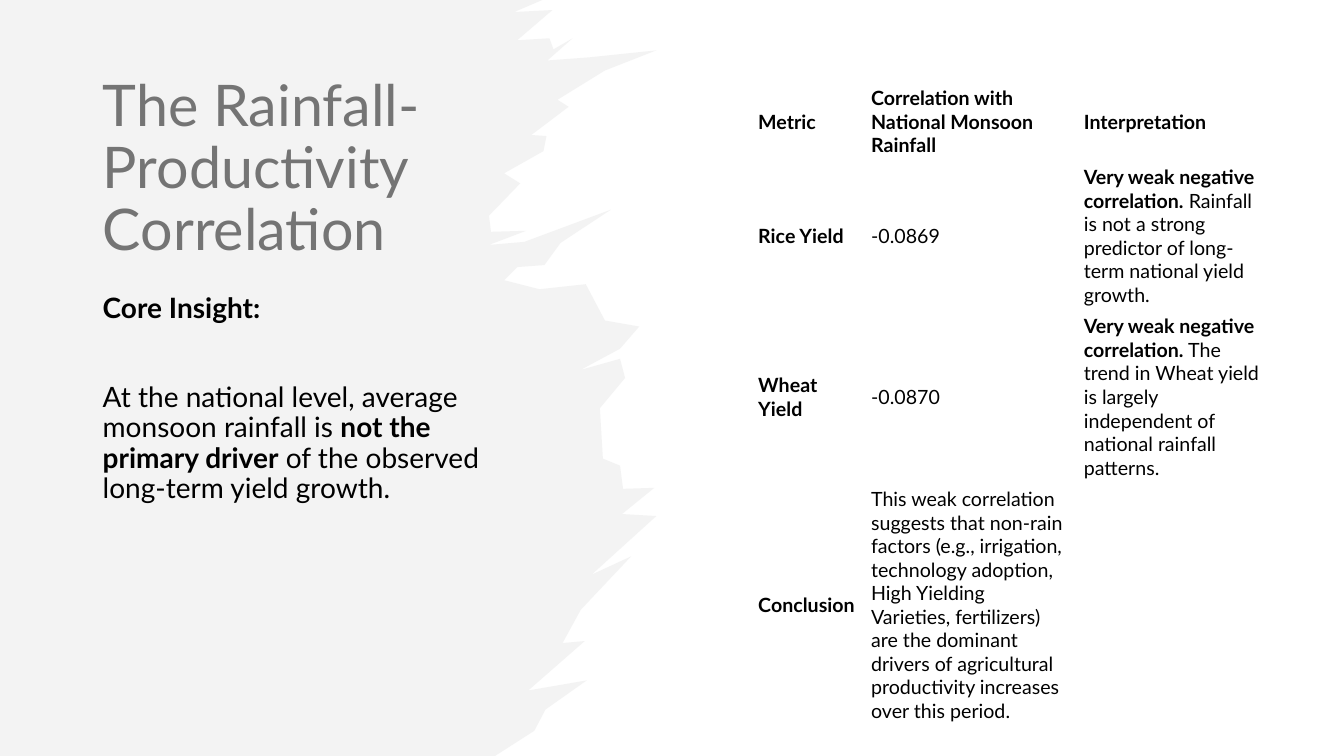
from lxml.etree import SubElement
from pptx import Presentation
from pptx.dml.color import RGBColor
from pptx.enum.text import MSO_ANCHOR, MSO_AUTO_SIZE, PP_ALIGN
from pptx.oxml.ns import qn
from pptx.util import Inches, Pt

FONT = "Lato"
COLORS = {"text": "000000", "brush": "E8E8E8", "border": "FFFFFF"}
UNITS_PER_INCH = 100

BRUSH_EDGE = [
    (4.91, 7.5), (5.3, 7.25), (5.41, 7.04), (5.82, 6.75), (5.24, 6.85), (5.8, 6.36),
    (5.58, 6.38), (5.76, 6.05), (6.26, 5.52), (5.87, 5.7), (6.51, 5.12), (6.17, 5.1),
    (6.49, 4.84), (6.18, 4.85), (6.15, 4.62), (5.98, 4.55), (5.95, 4.05), (6.2, 3.75),
    (6.15, 3.56), (5.76, 3.67), (6.15, 3.46), (6.34, 3.24), (6, 3.18), (5.81, 2.82),
    (5.35, 2.87), (5, 2.78), (5.13, 2.65), (5.4, 2.63), (5.56, 2.41), (6.06, 2.08),
    (5.2, 2.4), (4.85, 2.43), (5.22, 2.29), (4.87, 2.3), (4.85, 2.14), (5.16, 1.82),
    (5, 1.72), (5.39, 1.5), (5.42, 1.35), (5.27, 1.34), (5.64, 1.06), (5.53, 0.99),
    (6, 0.7), (6.51, 0.5), (5.84, 0.57), (5.43, 0.6), (5.68, 0.38), (5.49, 0.49),
    (5.45, 0.38), (5.13, 0.4), (5.48, 0.1), (5.1, 0.12), (5.38, 0),
]

COLUMN_WIDTHS = [1.12, 2.11, 1.97]
ROW_HEIGHTS = [0.79, 1.25, 1.48, 2.39]
WEAK = ("Very weak negative correlation.", True)
TABLE_ROWS = [
    [[("Metric", True)], [("Correlation with National Monsoon Rainfall", True)], [("Interpretation", True)]],
    [[("Rice Yield", True)], [("-0.0869", False)],
     [WEAK, (" Rainfall is not a strong predictor of long-term national yield growth.", False)]],
    [[("Wheat Yield", True)], [("-0.0870", False)],
     [WEAK, (" The trend in Wheat yield is largely independent of national rainfall patterns.", False)]],
    [[("Conclusion", True)],
     [("This weak correlation suggests that non-rain factors (e.g., irrigation, technology adoption, "
       "High Yielding Varieties, fertilizers) are the dominant drivers of agricultural productivity "
       "increases over this period.", False)], []],
]


def color(name):
    return RGBColor.from_string(COLORS[name])


def add_spans(para, spans, size):
    para.alignment = PP_ALIGN.LEFT
    for text, bold in spans:
        span = para.add_run()
        span.text = text
        span.font.name = FONT
        span.font.size = Pt(size)
        span.font.bold = bold
        span.font.color.rgb = color("text")


def add_brush(page):
    outline = [(0, 7.5), *BRUSH_EDGE]
    points = [(round(x * UNITS_PER_INCH), round(y * UNITS_PER_INCH)) for x, y in outline]
    builder = page.shapes.build_freeform(0, 0, scale=Inches(1) / UNITS_PER_INCH)
    builder.add_line_segments(points, close=True)
    brush = builder.convert_to_shape()
    brush.shadow.inherit = False
    brush.line.fill.background()
    brush.fill.solid()
    brush.fill.fore_color.rgb = color("brush")
    fill_color = brush.element.spPr.find(f"{qn('a:solidFill')}/{qn('a:srgbClr')}")
    SubElement(fill_color, qn("a:alpha"), val="50000")


def set_title(page):
    title = page.shapes.title
    title.left, title.top, title.width, title.height = map(Inches, (0.92, 0.7, 4.25, 1.97))
    frame = title.text_frame
    frame.word_wrap = True
    frame.auto_size = MSO_AUTO_SIZE.NONE
    frame.vertical_anchor = MSO_ANCHOR.MIDDLE
    para = frame.paragraphs[0]
    para.line_spacing = 0.9
    add_spans(para, [("The Rainfall-Productivity Correlation", False)], 41)


def add_insight(page):
    box = page.shapes.add_textbox(*map(Inches, (0.92, 2.87, 4.25, 3.89)))
    frame = box.text_frame
    frame.word_wrap = True
    heading = frame.paragraphs[0]
    add_spans(heading, [("Core Insight:", True)], 20)
    body = frame.add_paragraph()
    body.space_before = Pt(42)
    add_spans(body, [("At the national level, average monsoon rainfall is ", False),
                     ("not the primary driver", True),
                     (" of the observed long-term yield growth.", False)], 20)
    for para in (heading, body):
        para.line_spacing = 0.9


def set_borders(cell):
    properties = cell._tc.get_or_add_tcPr()
    for position, side in enumerate(("lnL", "lnR", "lnT", "lnB")):
        line = properties.makeelement(qn(f"a:{side}"), {"w": str(Pt(0.25))})
        fill = SubElement(line, qn("a:solidFill"))
        SubElement(fill, qn("a:srgbClr"), val=COLORS["border"])
        properties.insert(position, line)


def fill_cell(cell, spans):
    cell.fill.background()
    cell.vertical_anchor = MSO_ANCHOR.MIDDLE
    cell.margin_left = cell.margin_right = Inches(0.08)
    cell.margin_top = cell.margin_bottom = Inches(0.04)
    set_borders(cell)
    add_spans(cell.text_frame.paragraphs[0], spans, 14)


def add_correlation_table(page):
    frame = page.shapes.add_table(len(ROW_HEIGHTS), len(COLUMN_WIDTHS),
                                  *map(Inches, (7.44, 0.81, sum(COLUMN_WIDTHS), sum(ROW_HEIGHTS))))
    table = frame.table
    table.first_row = table.horz_banding = False
    for column, width in zip(table.columns, COLUMN_WIDTHS):
        column.width = Inches(width)
    for row, height, contents in zip(table.rows, ROW_HEIGHTS, TABLE_ROWS):
        row.height = Inches(height)
        for cell, spans in zip(row.cells, contents):
            fill_cell(cell, spans)


def main():
    deck = Presentation()
    deck.slide_width, deck.slide_height = Inches(13.33), Inches(7.5)
    page = deck.slides.add_slide(deck.slide_layouts[5])
    add_brush(page)
    set_title(page)
    add_insight(page)
    add_correlation_table(page)
    deck.save("out.pptx")


if __name__ == "__main__":
    main()
